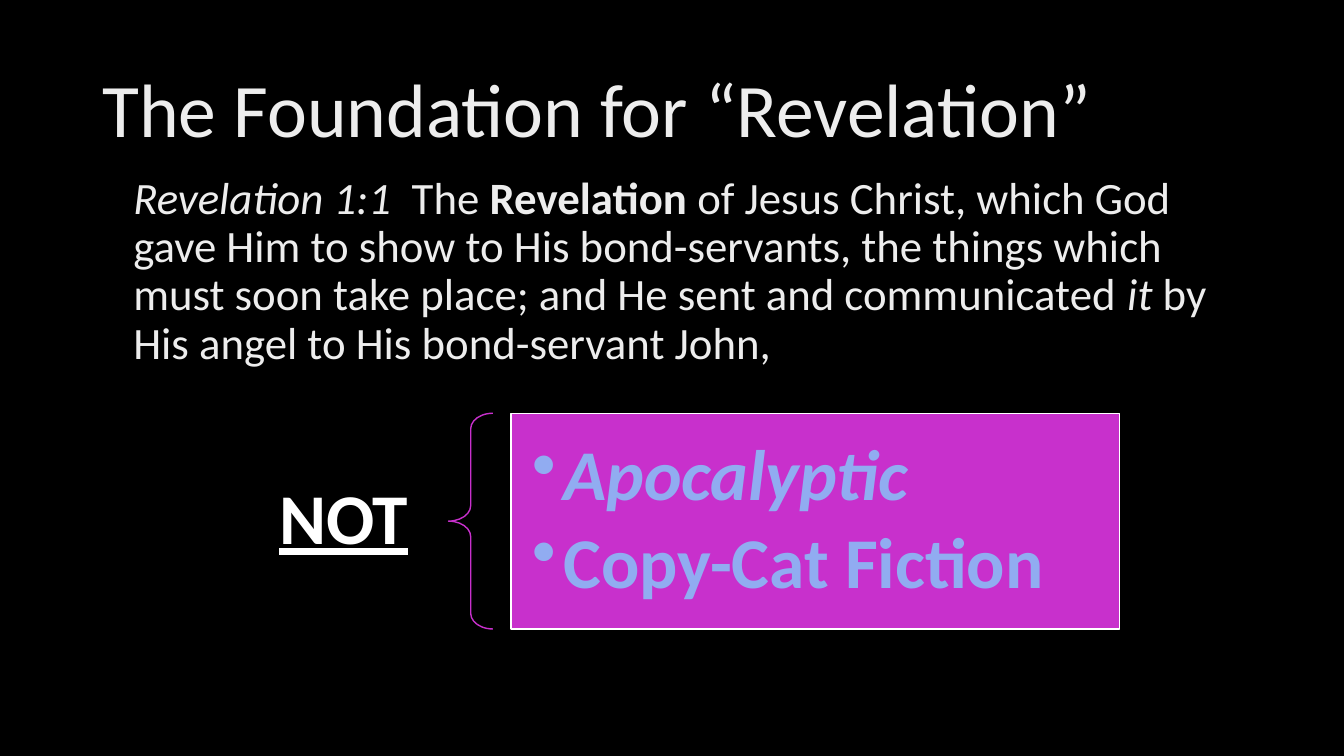
from pptx import Presentation
from pptx.dml.color import RGBColor
from pptx.enum.shapes import MSO_SHAPE as SHAPE
from pptx.enum.text import MSO_ANCHOR as ANCHOR, MSO_AUTO_SIZE as AUTO_SIZE, PP_ALIGN as ALIGN
from pptx.oxml.xmlchemy import OxmlElement
from pptx.util import Pt

COLORS = {"background": "000000", "text": "EDEDED", "white": "FFFFFF",
          "magenta": "C830CC", "blue": "91ACF1"}


def format_run(run, size, color, bold=False, italic=False):
    run.font.name = "Calibri"
    run.font.size = Pt(size)
    run.font.color.rgb = RGBColor.from_string(COLORS[color])
    run.font.bold = bold
    run.font.italic = italic


def set_bullet(paragraph, indent, character=None):
    properties = paragraph._p.get_or_add_pPr()
    properties.set("marL", str(Pt(indent)))
    properties.set("indent", str(-Pt(indent)))
    bullet = OxmlElement("a:buChar" if character else "a:buNone")
    if character:
        bullet.set("char", character)
    properties.append(bullet)


presentation = Presentation()
presentation.slide_width, presentation.slide_height = Pt(960), Pt(540)
slide = presentation.slides.add_slide(presentation.slide_layouts[1])
slide.background.fill.solid()
slide.background.fill.fore_color.rgb = RGBColor.from_string(COLORS["background"])

# Title
title = slide.shapes.title
title.left, title.top, title.width, title.height = Pt(66), Pt(28.75), Pt(828), Pt(104.4)
title.text_frame.text = "The Foundation for “Revelation”"
title.text_frame.auto_size = AUTO_SIZE.NONE
title.text_frame.vertical_anchor = ANCHOR.MIDDLE
paragraph = title.text_frame.paragraphs[0]
paragraph.alignment = ALIGN.LEFT
paragraph.line_spacing = 0.9
format_run(paragraph.runs[0], 54, "text")

# Verse, as (text, bold, italic)
verse = [
    ("Revelation 1:1 ", False, True),
    (" The ", False, False),
    ("Revelation", True, False),
    (" of Jesus Christ, which God gave Him to show to His bond-servants, "
     "the things which must soon take place; and He sent and communicated ", False, False),
    ("it", False, True),
    (" by His angel to His bond-servant John,", False, False),
]
body = slide.placeholders[1]
body.left, body.top, body.width, body.height = Pt(88), Pt(121.7), Pt(805.5), Pt(342.7)
body.text_frame.auto_size = AUTO_SIZE.NONE
paragraph = body.text_frame.paragraphs[0]
paragraph.line_spacing = 0.9
paragraph.space_before = Pt(10)
set_bullet(paragraph, 0)
for text, bold, italic in verse:
    run = paragraph.add_run()
    run.text = text
    format_run(run, 32, "text", bold, italic)

# NOT label
label = slide.shapes.add_textbox(Pt(160.5), Pt(332.6), Pt(160), Pt(79.2))
frame = label.text_frame
frame.word_wrap = True
frame.vertical_anchor = ANCHOR.MIDDLE
frame.margin_left = frame.margin_right = Pt(28.8)
frame.margin_top = frame.margin_bottom = Pt(10)
frame.text = "NOT"
paragraph = frame.paragraphs[0]
paragraph.alignment = ALIGN.RIGHT
paragraph.line_spacing = 0.9
format_run(paragraph.runs[0], 51, "white", bold=True)
paragraph.runs[0].font.underline = True

# Brace
brace = slide.shapes.add_shape(SHAPE.LEFT_BRACE, Pt(320.4), Pt(295.2), Pt(31.7), Pt(154.1))
brace.shadow.inherit = False
brace.adjustments[0] = 0.35
brace.fill.background()
brace.line.color.rgb = RGBColor.from_string(COLORS["magenta"])
brace.line.width = Pt(1)

# Box of rejected readings
box = slide.shapes.add_shape(SHAPE.RECTANGLE, Pt(365), Pt(295.2), Pt(434.9), Pt(154.1))
box.shadow.inherit = False
box.fill.solid()
box.fill.fore_color.rgb = RGBColor.from_string(COLORS["magenta"])
box.line.color.rgb = RGBColor.from_string(COLORS["white"])
box.line.width = Pt(1)
frame = box.text_frame
frame.word_wrap = True
frame.vertical_anchor = ANCHOR.MIDDLE
frame.margin_left = frame.margin_right = frame.margin_top = frame.margin_bottom = Pt(15)
frame.text = "Apocalyptic\nCopy-Cat Fiction"
for paragraph, italic in zip(frame.paragraphs, (True, False)):
    paragraph.alignment = ALIGN.LEFT
    paragraph.line_spacing = 0.9
    paragraph.space_after = Pt(7.5)
    set_bullet(paragraph, 22.5, "•")
    format_run(paragraph.runs[0], 51, "blue", bold=True, italic=italic)

presentation.save("out.pptx")
